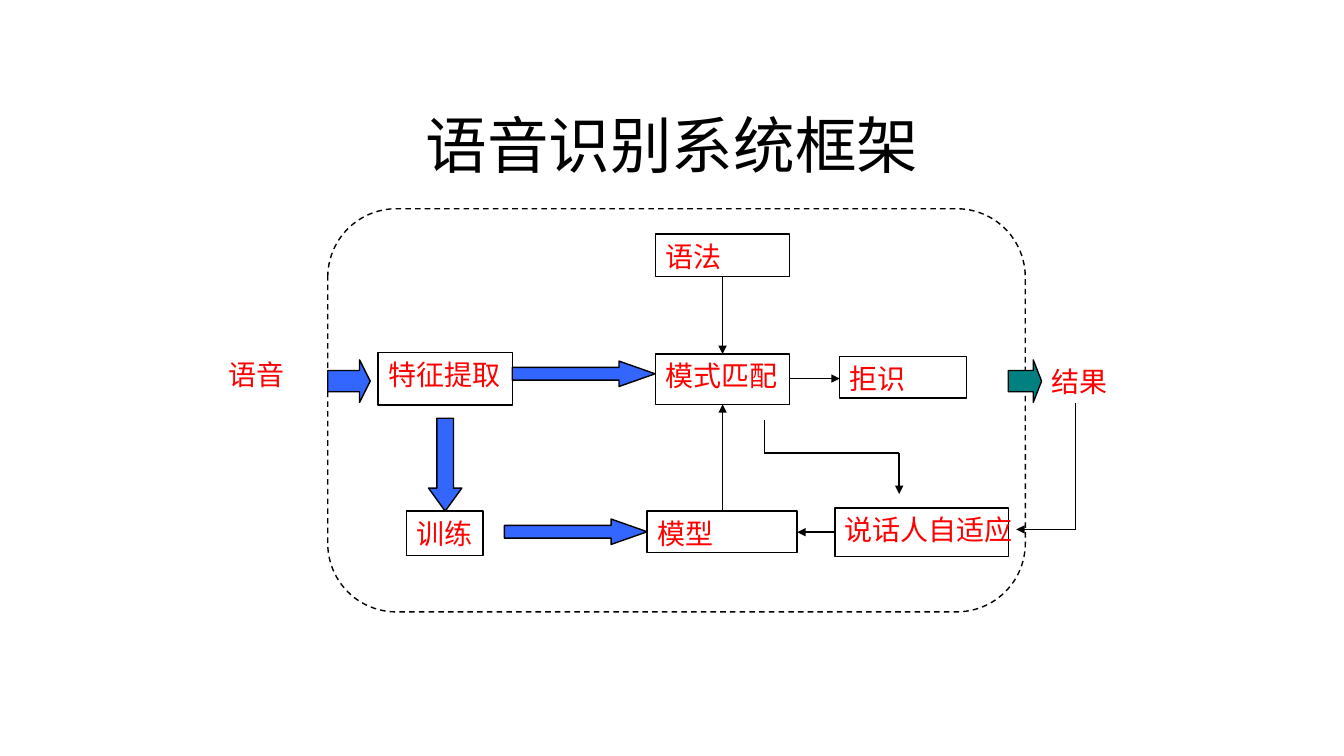
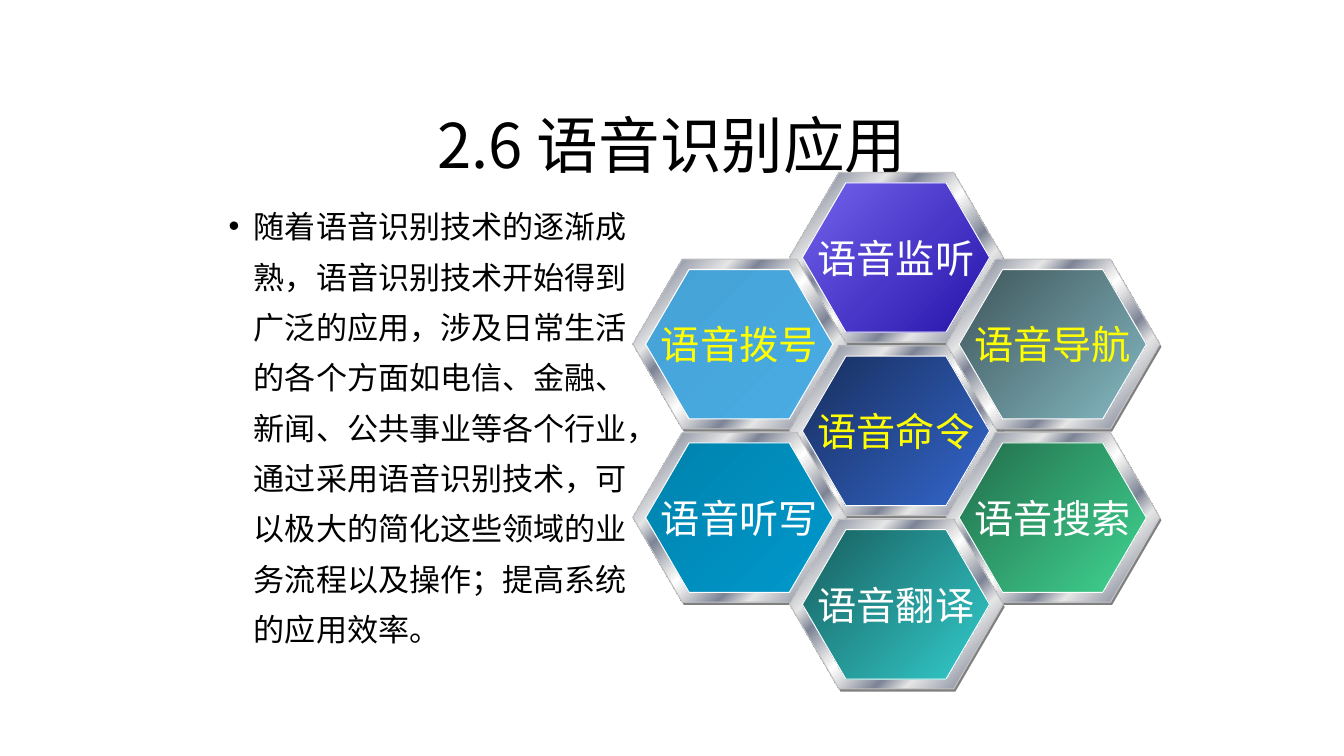
from lxml import etree
from pptx import Presentation
from pptx.dml.color import RGBColor
from pptx.enum.dml import MSO_LINE
from pptx.enum.shapes import MSO_CONNECTOR, MSO_SHAPE
from pptx.enum.text import MSO_ANCHOR, PP_ALIGN
from pptx.oxml import parse_xml
from pptx.oxml.ns import nsdecls, qn
from pptx.util import Cm, Pt

RECT, ROUNDED = MSO_SHAPE.RECTANGLE, MSO_SHAPE.ROUNDED_RECTANGLE
RIGHT, DOWN = MSO_SHAPE.RIGHT_ARROW, MSO_SHAPE.DOWN_ARROW
HEXAGON = MSO_SHAPE.HEXAGON
STRAIGHT = MSO_CONNECTOR.STRAIGHT
TOP, MIDDLE, BOTTOM = MSO_ANCHOR.TOP, MSO_ANCHOR.MIDDLE, MSO_ANCHOR.BOTTOM
LEFT, CENTER = PP_ALIGN.LEFT, PP_ALIGN.CENTER
DASH = MSO_LINE.DASH

FONT, LABEL_FONT = "Noto Sans CJK SC", "Arial"
BLACK, WHITE, RED, YELLOW = "000000", "FFFFFF", "FF0000", "FFFF00"
BLUE, TEAL, GRAY, SILVER = "3366FF", "008080", "808080", "C0C0C0"

TITLE_FORMAT = {"name": FONT, "size": Pt(44)}
BODY_FORMAT = {"name": FONT, "size": Pt(22.2)}
NODE_FORMAT = {"name": FONT, "size": Pt(20)}
HEX_FORMAT = {"name": LABEL_FONT, "size": Pt(28)}

TITLE_BOX = (2.34, 1.02, 29.2, 3.68)
BODY_BOX = (5.51, 4.78, 10.85, 12.24)
FRAME_BOX = (8.26, 5.26, 17.58, 10.16)
HEX_BOX = (15.95, 4.34, 13.28, 13.03)

# Text, then left, top, width and height inside the frame
NODES = [
    ("特征提取", 1.27, 3.63, 3.38, 1.32),
    ("训练", 1.98, 7.62, 1.93, 1.12),
    ("模式匹配", 8.26, 3.66, 3.38, 1.27),
    ("拒识", 12.9, 3.73, 3.2, 1.04),
    ("语法", 8.26, 0.64, 3.38, 1.07),
    ("模型", 8.05, 7.62, 3.78, 1.04),
    ("说话人自适应", 12.78, 7.54, 4.37, 1.22),
]
END_LABELS = [
    ("结果", 17.98, 3.81, 2.34, 1.04),
    ("语音", -2.74, 3.63, 2.74, 2.11),
]
# Kind, colour, head length, then left, top, width and height
BLOCK_ARROWS = [
    (RIGHT, BLUE, 0.25, 0, 3.81, 1.07, 1.07),
    (RIGHT, TEAL, 0.25, 17.15, 3.81, 0.84, 1.07),
    (DOWN, BLUE, 0.69, 2.54, 5.28, 0.84, 2.34),
    (RIGHT, BLUE, 1.42, 4.45, 7.82, 3.6, 0.64),
    (RIGHT, BLUE, 1.42, 4.65, 3.84, 3.6, 0.64),
]
ROUTES = [
    [(11.64, 4.28), (12.9, 4.28)],
    [(9.95, 1.71), (9.95, 3.66)],
    [(9.95, 7.62), (9.95, 4.93)],
    [(12.78, 8.15), (11.83, 8.15)],
    [(11, 5.33), (11, 6.15), (14.4, 6.15), (14.4, 7.19)],
    [(18.85, 4.9), (18.85, 8.08), (17.35, 8.08)],
]

# Text, text colour, gradient ends, column, row in half cells
APPLICATIONS = [
    ("语音监听", WHITE, "7262EC", "2614AA", 1, 0),
    ("语音拨号", YELLOW, "45A2D6", "49ACE3", 0, 1),
    ("语音命令", YELLOW, "182F5E", "3366CC", 1, 2),
    ("语音导航", YELLOW, "3E565A", "85B9C3", 2, 1),
    ("语音搜索", WHITE, "216D4B", "41D592", 2, 3),
    ("语音听写", WHITE, "0082AD", "0099CC", 0, 3),
    ("语音翻译", WHITE, "185E5E", "33CCCC", 1, 4),
]
METAL = [(0, "E6E6E6"), (8, "7D8496"), (26, "E6E6E6"), (34, "7D8496"),
         (46, "E6E6E6"), (50, "FFFFFF"), (54, "E6E6E6"), (66, "7D8496"),
         (74, "E6E6E6"), (92, "7D8496"), (100, "E6E6E6")]
HEX_W, HEX_H = 5.38, 4.29
COLUMN_STEP, HALF_ROW = 3.95, 2.185


def rgb(value):
    return RGBColor.from_string(value)


def lengths(box):
    return [Cm(v) for v in box]


def write(sp, text, fmt, color, align=LEFT, anchor=TOP, wrap=False):
    tf = sp.text_frame
    tf.word_wrap = wrap
    tf.vertical_anchor = anchor
    p = tf.paragraphs[0]
    p.alignment = align
    r = p.add_run()
    r.text = text
    for name, value in fmt.items():
        setattr(r.font, name, value)
    r.font.color.rgb = rgb(color)
    return p


def add_text(s, box, text, fmt, color=BLACK, **layout):
    sp = s.shapes.add_textbox(*lengths(box))
    return write(sp, text, fmt, color, **layout)


def set_gradient(sp, stops):
    gs = "".join(f'<a:gs pos="{pos * 1000}"><a:srgbClr val="{color}"/></a:gs>'
                 for pos, color in stops)
    grad = parse_xml(f'<a:gradFill {nsdecls("a")} rotWithShape="1">'
                     f'<a:gsLst>{gs}</a:gsLst><a:lin ang="2700000" scaled="0"/>'
                     '</a:gradFill>')
    sp.fill.background()
    no_fill = sp.element.spPr.find(qn("a:noFill"))
    sp.element.spPr.replace(no_fill, grad)


def add_shape(s, kind, box, fill=None, line=BLACK, weight=1, adj=()):
    """Draw a preset shape; fill is a colour, a list of stops or None."""
    sp = s.shapes.add_shape(kind, *lengths(box))
    sp.shadow.inherit = False
    for i, value in enumerate(adj):
        sp.adjustments[i] = value
    if fill is None:
        sp.fill.background()
    elif isinstance(fill, str):
        sp.fill.solid()
        sp.fill.fore_color.rgb = rgb(fill)
    else:
        set_gradient(sp, fill)
    if line is None:
        sp.line.fill.background()
    else:
        sp.line.color.rgb = rgb(line)
        sp.line.width = Pt(weight)
    return sp


def add_route(s, points):
    """Join the points with straight lines, with an arrowhead at the end."""
    for start, end in zip(points, points[1:]):
        cn = s.shapes.add_connector(STRAIGHT, *lengths(start + end))
        cn.line.color.rgb = rgb(BLACK)
        cn.line.width = Pt(1)
        etree.SubElement(cn.element.spPr, qn("a:effectLst"))
    etree.SubElement(cn.line._get_or_add_ln(), qn("a:tailEnd"), type="triangle")


def add_title(s, text):
    p = add_text(s, TITLE_BOX, text, TITLE_FORMAT,
                 align=CENTER, anchor=BOTTOM, wrap=True)
    p.line_spacing = 0.9


def add_bullet(s, box, text):
    p = add_text(s, box, text, BODY_FORMAT, wrap=True)
    p.line_spacing = 1.35
    pPr = p._p.get_or_add_pPr()
    pPr.set("marL", str(Cm(0.64)))
    pPr.set("indent", str(-Cm(0.64)))
    etree.SubElement(pPr, qn("a:buFont"), typeface="Arial")
    etree.SubElement(pPr, qn("a:buChar"), char="•")


def add_framework(s, box):
    left, top = box[:2]

    def place(x, y, *size):
        return (left + x, top + y, *size)

    frame = add_shape(s, ROUNDED, box, WHITE, adj=[0.17])
    frame.line.dash_style = DASH
    for text, *cell in NODES:
        sp = add_shape(s, RECT, place(*cell))
        write(sp, text, NODE_FORMAT, RED)
    for text, *cell in END_LABELS:
        add_text(s, place(*cell), text, NODE_FORMAT, RED)
    for kind, color, head, *cell in BLOCK_ARROWS:
        add_shape(s, kind, place(*cell), color, adj=[0.5, head])
    for points in ROUTES:
        add_route(s, [place(*point) for point in points])


def add_hexagon(s, x, y, text, color, stops):
    """Stack a shadow, a metal rim and a coloured face that holds the text."""
    adj = [0.29, 1.15]
    add_shape(s, HEXAGON, (x + 0.04, y + 0.07, HEX_W, HEX_H), GRAY, None, adj=adj)
    add_shape(s, HEXAGON, (x, y, HEX_W, HEX_H), METAL, SILVER, 0.75, adj)
    face = add_shape(s, HEXAGON, (x + 0.32, y + 0.26, 4.72, 3.78),
                     stops, WHITE, 0.75, adj)
    write(face, text, HEX_FORMAT, color, CENTER, MIDDLE)


def add_honeycomb(s, box):
    left, top = box[:2]
    for text, color, first, last, col, row in APPLICATIONS:
        add_hexagon(s, left + col * COLUMN_STEP, top + row * HALF_ROW,
                    text, color, [(0, first), (100, last)])


def framework_slide(s):
    add_title(s, "语音识别系统框架")
    add_framework(s, FRAME_BOX)


def applications_slide(s):
    add_bullet(s, BODY_BOX,
               "随着语音识别技术的逐渐成熟，语音识别技术开始得到广泛的应用，"
               "涉及日常生活的各个方面如电信、金融、新闻、公共事业等各个行业，"
               "通过采用语音识别技术，可以极大的简化这些领域的业务流程以及操作；"
               "提高系统的应用效率。")
    add_title(s, "2.6 语音识别应用")
    add_honeycomb(s, HEX_BOX)


def main():
    prs = Presentation()
    prs.slide_width, prs.slide_height = Cm(33.87), Cm(19.05)
    for build in (framework_slide, applications_slide):
        build(prs.slides.add_slide(prs.slide_layouts[6]))
    prs.save("out.pptx")


if __name__ == "__main__":
    main()
